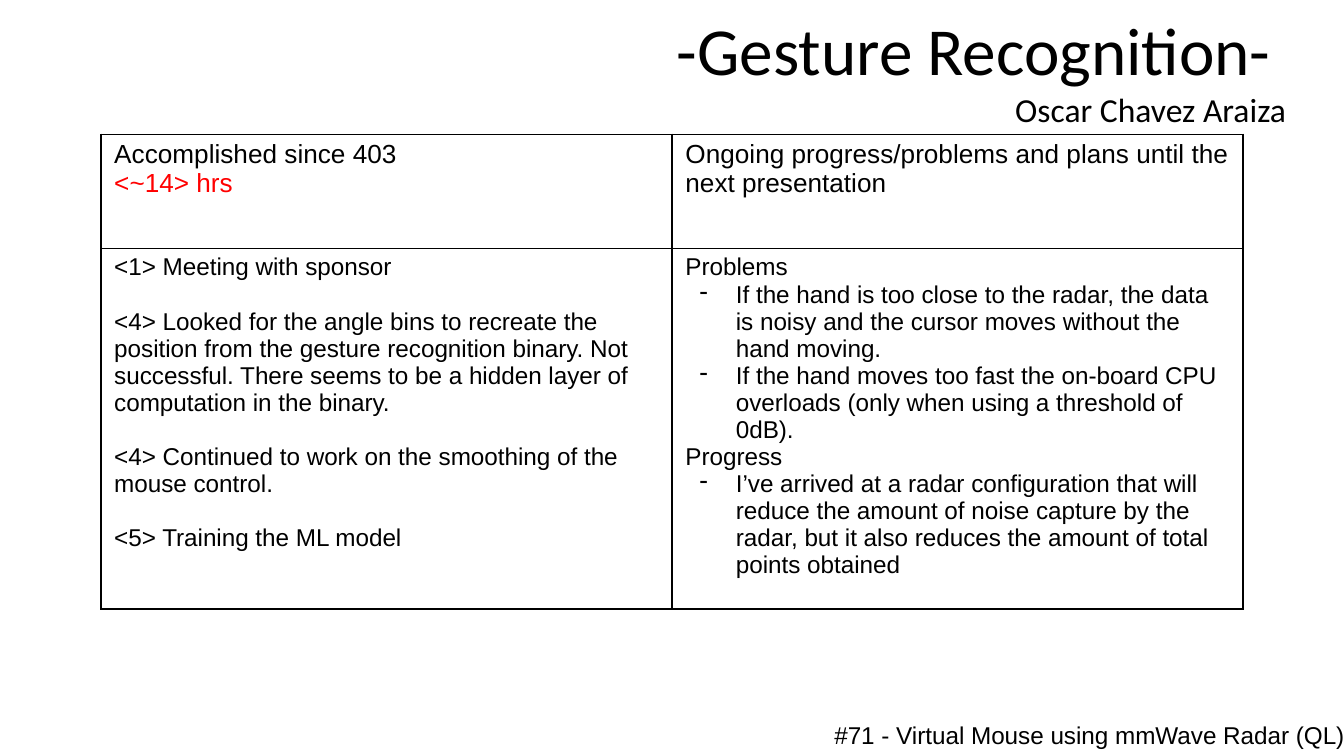
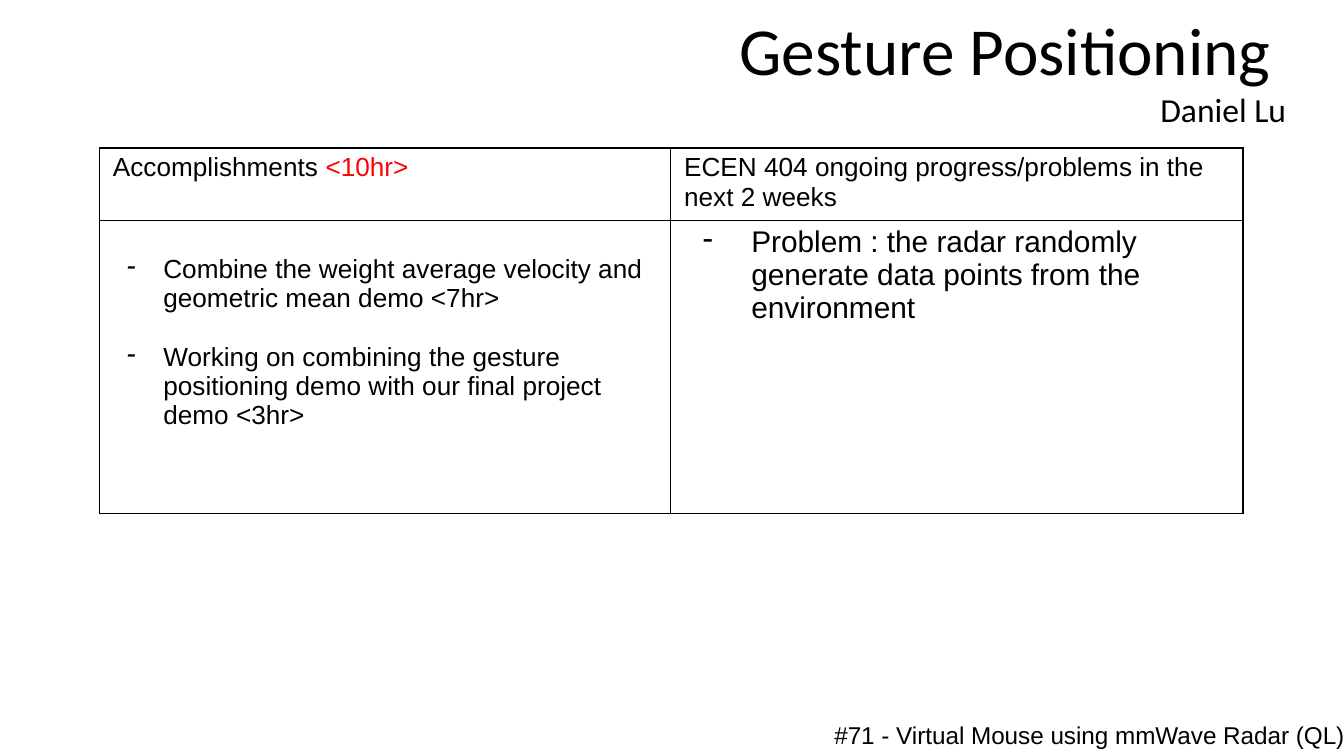
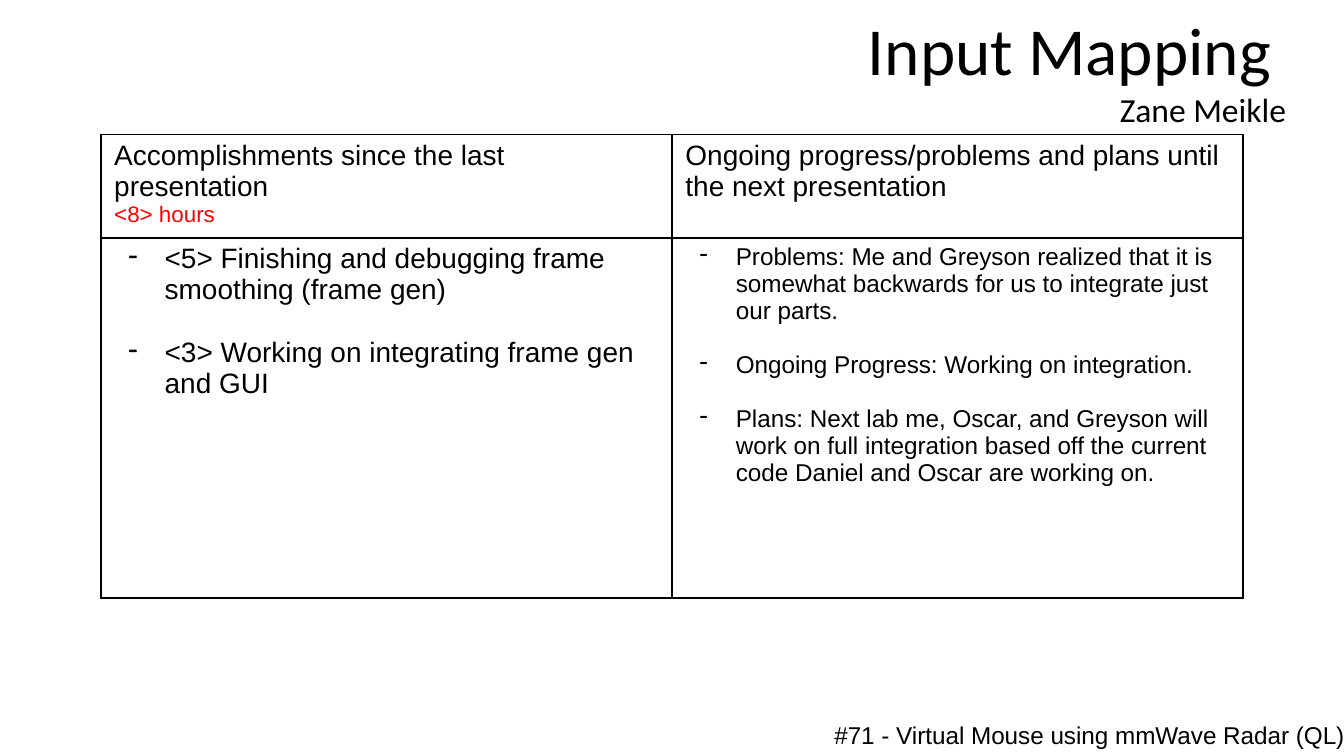
from dataclasses import dataclass

from lxml.etree import SubElement
from pptx import Presentation
from pptx.dml.color import RGBColor
from pptx.enum.text import MSO_ANCHOR, MSO_AUTO_SIZE, PP_ALIGN
from pptx.oxml import parse_xml
from pptx.oxml.ns import nsdecls, qn
from pptx.util import Pt

SCALE = 4572
BLACK = RGBColor(0, 0, 0)
RED = RGBColor(255, 0, 0)
LEADING = 1.117
TEAM = "#71 - Virtual Mouse using mmWave Radar (QL)"
DENT = (75, -54)


def px(count):
    return count * SCALE


def adorn(target, values):
    for key, value in values.items():
        setattr(target, key, value)


@dataclass
class Line:
    text: str
    size: int
    dent: tuple = None
    gap: bool = False
    tint: RGBColor = BLACK
    tail: str = ""


class Deck:
    head = {"name": "Calibri", "bold": False}
    body = {"name": "Arial", "bold": False}
    title_box = dict(left=px(484), top=px(2), width=px(1450), height=px(202))
    title_frame = dict(margin_left=px(20), margin_right=px(20),
                       margin_top=px(10), margin_bottom=px(10),
                       word_wrap=True, auto_size=MSO_AUTO_SIZE.NONE,
                       vertical_anchor=MSO_ANCHOR.TOP)
    foot_frame = dict(title_frame, margin_top=px(20), margin_bottom=px(20))
    cell_frame = dict(margin_left=px(20), margin_right=px(20),
                      margin_top=px(8), margin_bottom=px(8),
                      vertical_anchor=MSO_ANCHOR.TOP)

    def __init__(self):
        self.show = Presentation()
        adorn(self.show, dict(slide_width=px(2000), slide_height=px(1125)))
        self.slide = None

    def page(self, title, owner):
        self.slide = self.show.slides.add_slide(self.show.slide_layouts[5])
        shape = self.slide.shapes.title
        adorn(shape, self.title_box)
        adorn(shape.text_frame, self.title_frame)
        self.prose(shape.text_frame, [Line(title + " ", 36), Line(owner, 18)],
                   self.head, PP_ALIGN.RIGHT)

    def foot(self):
        box = self.slide.shapes.add_textbox(px(1222), px(1052), px(1334), px(116))
        adorn(box.text_frame, self.foot_frame)
        self.prose(box.text_frame, [Line(TEAM, 13)], self.body)

    def prose(self, frame, lines, face, align=PP_ALIGN.LEFT):
        for spot, line in enumerate(lines):
            para = frame.add_paragraph() if spot else frame.paragraphs[0]
            para.alignment = align
            if line.dent:
                self.bullet(para, line.dent)
            if line.gap:
                para.space_before = Pt(round(line.size * LEADING, 1))
            for text, tint in ((line.text, line.tint), (line.tail, RED)):
                if text:
                    run = para.add_run()
                    run.text = text
                    adorn(run.font, dict(face, size=Pt(line.size)))
                    run.font.color.rgb = tint

    def bullet(self, para, dent):
        props = para._p.get_or_add_pPr()
        for key, value in zip(("marL", "indent"), dent):
            props.set(key, str(px(value)))
        tint = SubElement(props, qn("a:buClr"))
        SubElement(tint, qn("a:srgbClr")).set("val", str(BLACK))
        SubElement(props, qn("a:buChar")).set("char", "-")

    def border(self, cell):
        props = cell._tc.get_or_add_tcPr()
        for spot, side in enumerate("LRTB"):
            props.insert(spot, parse_xml(
                f'<a:ln{side} {nsdecls("a")} w="{Pt(1)}"><a:solidFill>'
                f'<a:srgbClr val="{BLACK}"/></a:solidFill></a:ln{side}>'))

    def grid(self, left, top, cols, rows, cells, drop=0):
        table = self.slide.shapes.add_table(
            len(rows), len(cols), px(left), px(top),
            px(sum(cols)), px(sum(rows))).table
        adorn(table, dict(first_row=False, horz_banding=False))
        for col, width in zip(table.columns, cols):
            col.width = px(width)
        for row, height in zip(table.rows, rows):
            row.height = px(height)
        for cell, lines in zip(table.iter_cells(), cells):
            adorn(cell, self.cell_frame)
            cell.fill.background()
            self.border(cell)
            self.prose(cell.text_frame, lines, self.body)
        if drop:
            table.cell(1, 0).margin_top = px(8 + drop)


def main():
    deck = Deck()
    plans = "Ongoing progress/problems and plans until the next presentation"

    deck.page("-Gesture Recognition-", "Oscar Chavez Araiza")
    deck.grid(150, 200, (850, 850), (170, 536), [
        [Line("Accomplished since 403", 14), Line("<~14> hrs", 14, tint=RED)],
        [Line(plans, 14)],
        [Line("<1> Meeting with sponsor", 13),
         Line("<4> Looked for the angle bins to recreate the position from the "
              "gesture recognition binary. Not successful. There seems to be a "
              "hidden layer of computation in the binary.", 13, gap=True),
         Line("<4> Continued to work on the smoothing of the mouse control.",
              13, gap=True),
         Line("<5> Training the ML model", 13, gap=True)],
        [Line("Problems", 13),
         Line("If the hand is too close to the radar, the data is noisy and the "
              "cursor moves without the hand moving.", 13, DENT),
         Line("If the hand moves too fast the on-board CPU overloads (only when "
              "using a threshold of 0dB).", 13, DENT),
         Line("Progress", 13),
         Line("I’ve arrived at a radar configuration that will reduce the amount "
              "of noise capture by the radar, but it also reduces the amount of "
              "total points obtained", 13, DENT)],
    ])
    deck.foot()

    deck.page("Gesture Positioning", "Daniel Lu")
    deck.grid(148, 220, (850, 852), (108, 436), [
        [Line("Accomplishments ", 14, tail="<10hr>")],
        [Line("ECEN 404 ongoing progress/problems in the next 2 weeks", 14)],
        [Line("Combine the weight average velocity and geometric mean demo <7hr>",
              14, DENT),
         Line("Working on combining the gesture positioning demo with our final "
              "project demo <3hr>", 14, DENT, gap=True)],
        [Line("Problem : the radar randomly generate data points from the "
              "environment", 16, (100, -72))],
    ], drop=43)
    deck.foot()

    deck.page("Input Mapping", "Zane Meikle")
    deck.grid(150, 200, (850, 850), (154, 536), [
        [Line("Accomplishments since the last presentation", 15),
         Line("<8> hours", 12, tint=RED)],
        [Line(plans, 15)],
        [Line("<5> Finishing and debugging frame smoothing (frame gen)", 15, DENT),
         Line("<3> Working on integrating frame gen and GUI", 15, DENT, gap=True)],
        [Line("Problems: Me and Greyson realized that it is somewhat backwards "
              "for us to integrate just our parts.", 13, DENT),
         Line("Ongoing Progress: Working on integration.", 13, DENT, gap=True),
         Line("Plans: Next lab me, Oscar, and Greyson will work on full "
              "integration based off the current code Daniel and Oscar are "
              "working on.", 13, DENT, gap=True)],
    ])
    deck.foot()

    deck.show.save("out.pptx")


if __name__ == "__main__":
    main()
